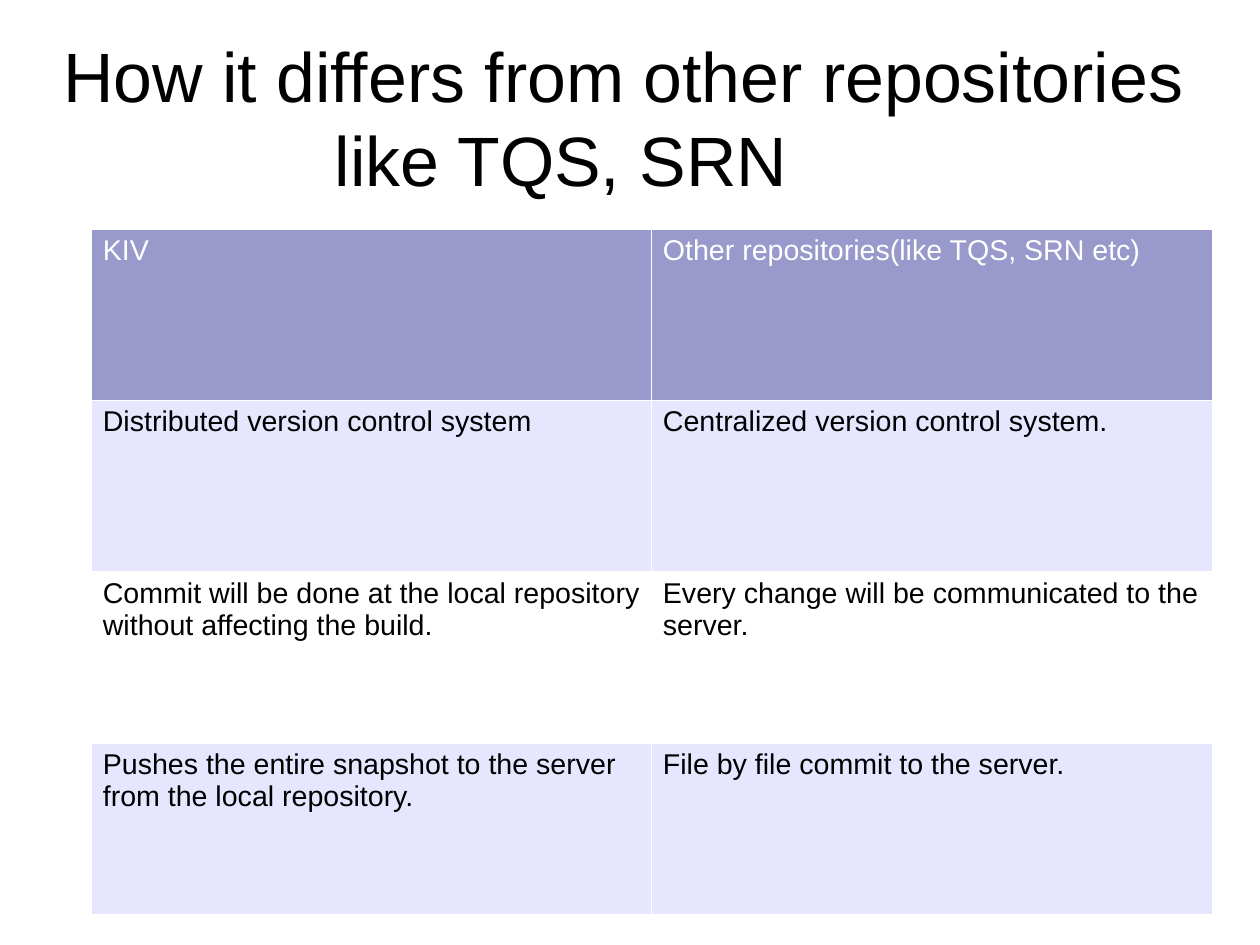
from dataclasses import dataclass

import lxml.etree
import pptx
import pptx.dml.color
import pptx.enum.text
import pptx.oxml.ns
import pptx.util

Inches = pptx.util.Inches
Pt = pptx.util.Pt
RGBColor = pptx.dml.color.RGBColor
qn = pptx.oxml.ns.qn

BLACK = RGBColor(0x00, 0x00, 0x00)
WHITE = RGBColor(0xFF, 0xFF, 0xFF)
VIOLET = RGBColor(0x99, 0x99, 0xCC)
PALE = RGBColor(0xE6, 0xE6, 0xFF)
FONT = "Arial"


@dataclass
class Line:
    text: str
    inset: float


@dataclass
class Row:
    left: str
    right: str
    fill: RGBColor
    ink: RGBColor = BLACK


# Right insets shift the centred title lines to the left
LINES = [
    Line("How it differs from other repositories", 0.1),
    Line("like TQS, SRN", 1.2),
]

ROWS = [
    Row("KIV", "Other repositories(like TQS, SRN etc)", VIOLET, WHITE),
    Row("Distributed version control system",
        "Centralized version control system.", PALE),
    Row("Commit will be done at the local repository without affecting the build.",
        "Every change will be communicated to the server.", WHITE),
    Row("Pushes the entire snapshot to the server from the local repository.",
        "File by file commit to the server.", PALE),
]


def add_run(para, text: str, size: int, ink: RGBColor) -> None:
    run = para.add_run()
    run.text = text
    run.font.name = FONT
    run.font.size = Pt(size)
    run.font.bold = False
    run.font.color.rgb = ink


def add_edges(cell) -> None:
    props = cell._tc.get_or_add_tcPr()
    for side in ("lnL", "lnR", "lnT", "lnB"):
        line = lxml.etree.SubElement(props, qn(f"a:{side}"), w=str(Pt(0.06)))
        fill = lxml.etree.SubElement(line, qn("a:solidFill"))
        lxml.etree.SubElement(fill, qn("a:srgbClr"), val=str(WHITE))


def fill_cell(cell, text: str, row: Row) -> None:
    cell.margin_left = cell.margin_right = Inches(0.1)
    cell.margin_top = cell.margin_bottom = Inches(0.05)
    add_edges(cell)
    cell.fill.solid()
    cell.fill.fore_color.rgb = row.fill
    add_run(cell.text_frame.paragraphs[0], text, 18, row.ink)


def set_title(title) -> None:
    title.left, title.top = Inches(0.55), Inches(0.33)
    title.width, title.height = Inches(9.92), Inches(1.38)
    frame = title.text_frame
    frame.margin_left = frame.margin_right = 0
    frame.margin_top = frame.margin_bottom = 0
    frame.word_wrap = True
    frame.auto_size = pptx.enum.text.MSO_AUTO_SIZE.SHAPE_TO_FIT_TEXT
    frame.vertical_anchor = pptx.enum.text.MSO_ANCHOR.MIDDLE
    paras = (frame.paragraphs[0], frame.add_paragraph())
    for para, line in zip(paras, LINES):
        para.alignment = pptx.enum.text.PP_ALIGN.CENTER
        para.space_before = Pt(0)
        para._p.get_or_add_pPr().set("marR", str(Inches(line.inset)))
        add_run(para, line.text, 44, BLACK)


def add_grid(slide) -> None:
    frame = slide.shapes.add_table(
        len(ROWS), 2, Inches(0.8), Inches(2), Inches(9.8), Inches(6))
    table = frame.table
    table.first_row = table.horz_banding = False
    for line, row in zip(table.rows, ROWS):
        line.height = Inches(1.5)
        for cell, text in zip(line.cells, (row.left, row.right)):
            fill_cell(cell, text, row)


# Slide of 28 by 21 centimetres
deck = pptx.Presentation()
deck.slide_width, deck.slide_height = Inches(28 / 2.54), Inches(21 / 2.54)
slide = deck.slides.add_slide(deck.slide_layouts[5])
slide.background.fill.solid()
slide.background.fill.fore_color.rgb = WHITE

# Title and comparison table
set_title(slide.shapes.title)
add_grid(slide)

deck.save("out.pptx")
